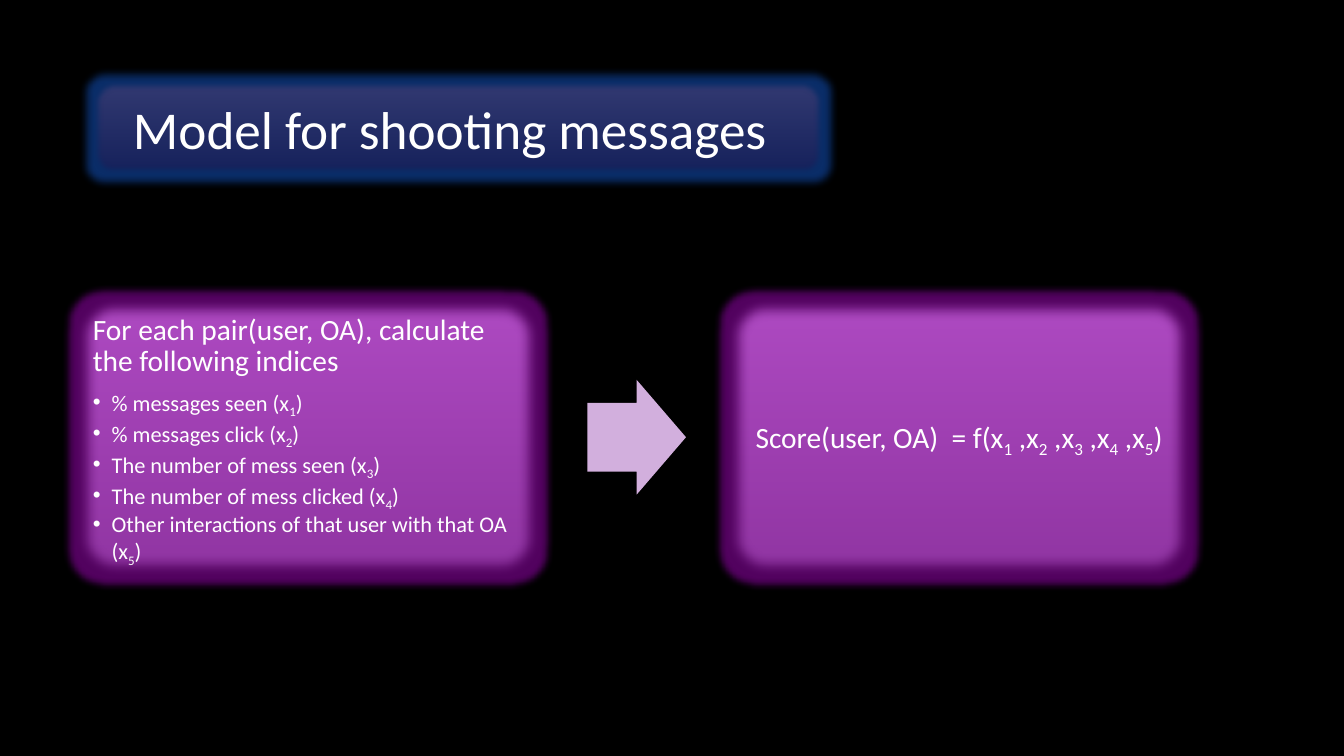
from lxml import etree
from pptx import Presentation
from pptx.dml.color import RGBColor
from pptx.enum.shapes import MSO_SHAPE
from pptx.enum.text import MSO_ANCHOR, MSO_AUTO_SIZE, PP_ALIGN
from pptx.oxml.ns import qn
from pptx.util import Pt

ROUNDED = MSO_SHAPE.ROUNDED_RECTANGLE
ARROW = MSO_SHAPE.RIGHT_ARROW
TOP, MIDDLE = MSO_ANCHOR.TOP, MSO_ANCHOR.MIDDLE
LEFT, CENTER = PP_ALIGN.LEFT, PP_ALIGN.CENTER
NO_FIT = MSO_AUTO_SIZE.NONE

FONT = "Calibri"
WHITE = "FFFFFF"
PURPLE = ("AE4AC2", "8F34A1")
NAVY = ("333A72", "14205A")

HEADING = "For each pair(user, OA), calculate the following indices"
# An underscore lowers the character after it
INDICES = [
    "% messages seen (x_1)",
    "% messages click (x_2)",
    "The number of mess seen (x_3)",
    "The number of mess clicked (x_4)",
    "Other interactions of that user with that OA (x_5)",
]
SCORE = "Score(user, OA)  = f(x_1 ,x_2 ,x_3 ,x_4 ,x_5)"


def color(value):
    return RGBColor.from_string(value)


def place(shape, box):
    shape.left, shape.top, shape.width, shape.height = (Pt(v) for v in box)


def inset(box, gap):
    left, top, width, height = box
    return left + gap, top + gap, width - 2 * gap, height - 2 * gap


def add_glow_panel(page, box, colors, corner, glow, soft):
    """Rounded panel with a vertical gradient, outer glow and soft edge."""
    panel = page.shapes.add_shape(ROUNDED, *(Pt(v) for v in box))
    panel.adjustments[0] = corner
    panel.line.fill.background()
    panel.fill.gradient()
    panel.fill.gradient_angle = 270
    for stop, value, position in zip(panel.fill.gradient_stops, colors, (0, 1)):
        stop.color.rgb = color(value)
        stop.position = position
    panel.shadow.inherit = False
    effects = panel._element.spPr.find(qn("a:effectLst"))
    halo = etree.SubElement(effects, qn("a:glow"), rad=str(Pt(11)))
    etree.SubElement(halo, qn("a:srgbClr"), val=glow)
    etree.SubElement(effects, qn("a:softEdge"), rad=str(Pt(soft)))


def set_frame(shape, box, anchor, margins):
    place(shape, box)
    frame = shape.text_frame
    frame.word_wrap = True
    frame.auto_size = NO_FIT
    frame.vertical_anchor = anchor
    (frame.margin_left, frame.margin_top,
     frame.margin_right, frame.margin_bottom) = (Pt(v) for v in margins)
    return frame


def write(para, text, size, after, align=LEFT):
    para.alignment = align
    para.line_spacing = 0.9
    para.space_before = Pt(0)
    para.space_after = Pt(after)
    para.font.name = FONT
    para.font.size = Pt(size)
    para.font.color.rgb = color(WHITE)
    first, *rest = text.split("_")
    para.add_run().text = first
    for part in rest:
        lowered = para.add_run()
        lowered.text = part[0]
        lowered.font._element.set("baseline", "-25000")
        para.add_run().text = part[1:]


def set_bullet(para, indent):
    """Hang a dot by the indent, or drop the bullet when it is zero."""
    props = para._p.get_or_add_pPr()
    props.set("marL", str(Pt(indent)))
    props.set("indent", str(Pt(-indent)))
    if indent:
        mark = etree.Element(qn("a:buChar"), char="•")
    else:
        mark = etree.Element(qn("a:buNone"))
    props.find(qn("a:defRPr")).addprevious(mark)


def bring_to_front(page, shape):
    page.shapes._spTree.append(shape._element)


def build_title(page, box):
    add_glow_panel(page, box, NAVY, 0.17, "0A2D68", 4)
    title = page.shapes.title
    frame = set_frame(title, inset(box, 3), MIDDLE, (25, 6, 14, 0))
    write(frame.paragraphs[0], "Model for shooting messages", 38, 0)
    bring_to_front(page, title)


def build_indices(page, box):
    add_glow_panel(page, box, PURPLE, 0.1, "52025F", 9)
    body = page.placeholders[1]
    frame = set_frame(body, inset(box, 6), TOP, (6.3,) * 4)
    heading = frame.paragraphs[0]
    write(heading, HEADING, 21, 8)
    set_bullet(heading, 0)
    for text in INDICES:
        para = frame.add_paragraph()
        para.level = 1
        write(para, text, 16, 2.5)
        set_bullet(para, 13.5)
    bring_to_front(page, body)


def build_arrow(page, box):
    arrow = page.shapes.add_shape(ARROW, *(Pt(v) for v in box))
    arrow.adjustments[0] = 0.6
    arrow.adjustments[1] = 0.5
    arrow.fill.solid()
    arrow.fill.fore_color.rgb = color("D2AFDD")
    arrow.line.fill.background()
    arrow.shadow.inherit = False


def build_score(page, box):
    add_glow_panel(page, box, PURPLE, 0.1, "52025F", 9)
    text_box = inset(box, 6)
    label = page.shapes.add_textbox(*(Pt(v) for v in text_box))
    frame = set_frame(label, text_box, MIDDLE, (6.3,) * 4)
    write(frame.paragraphs[0], SCORE, 21, 0, CENTER)


def main():
    deck = Presentation()
    deck.slide_width, deck.slide_height = Pt(960), Pt(540)
    page = deck.slides.add_slide(deck.slide_layouts[1])
    page.background.fill.solid()
    page.background.fill.fore_color.rgb = color("000000")

    # Two steps joined by an arrow
    build_indices(page, (54, 212.5, 332, 199.5))
    build_arrow(page, (419.5, 271.3, 70.5, 82))
    build_score(page, (519, 212.5, 332, 199.5))
    # Title banner
    build_title(page, (67, 58.5, 520.5, 65.5))

    deck.save("out.pptx")


if __name__ == "__main__":
    main()
